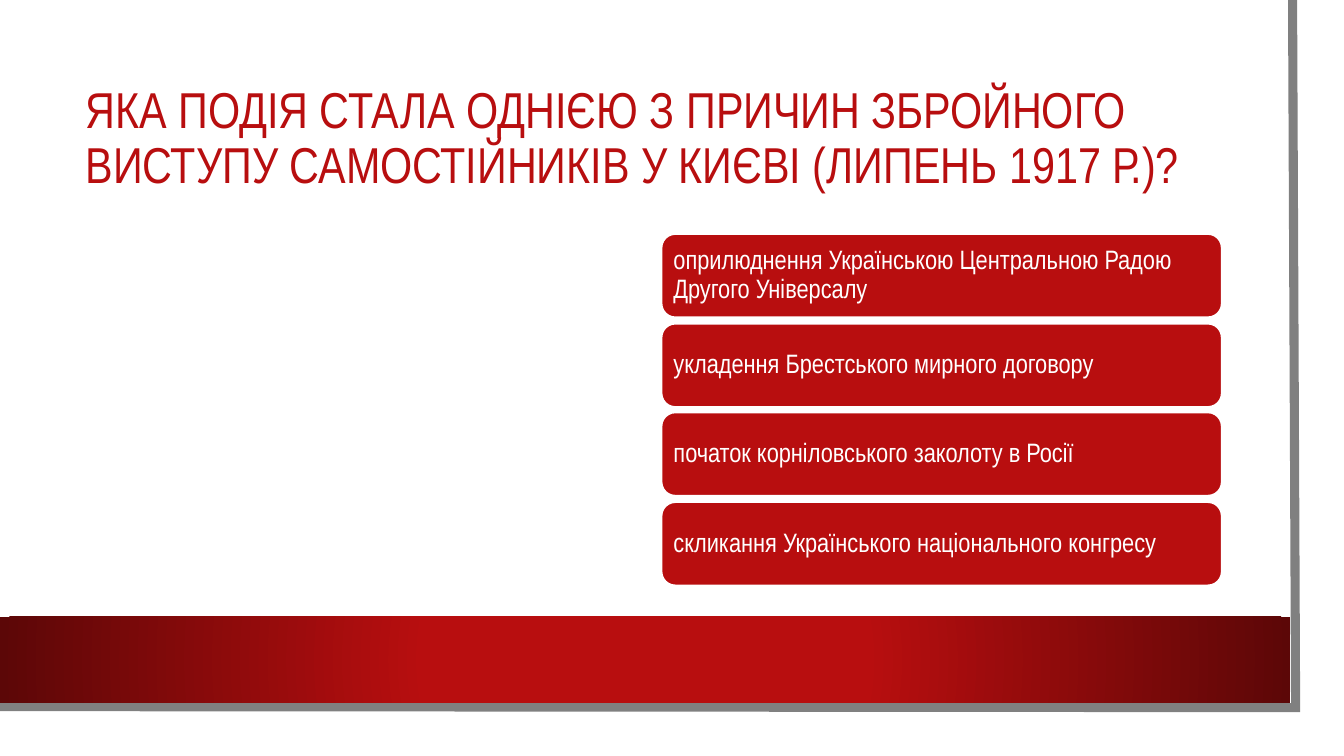
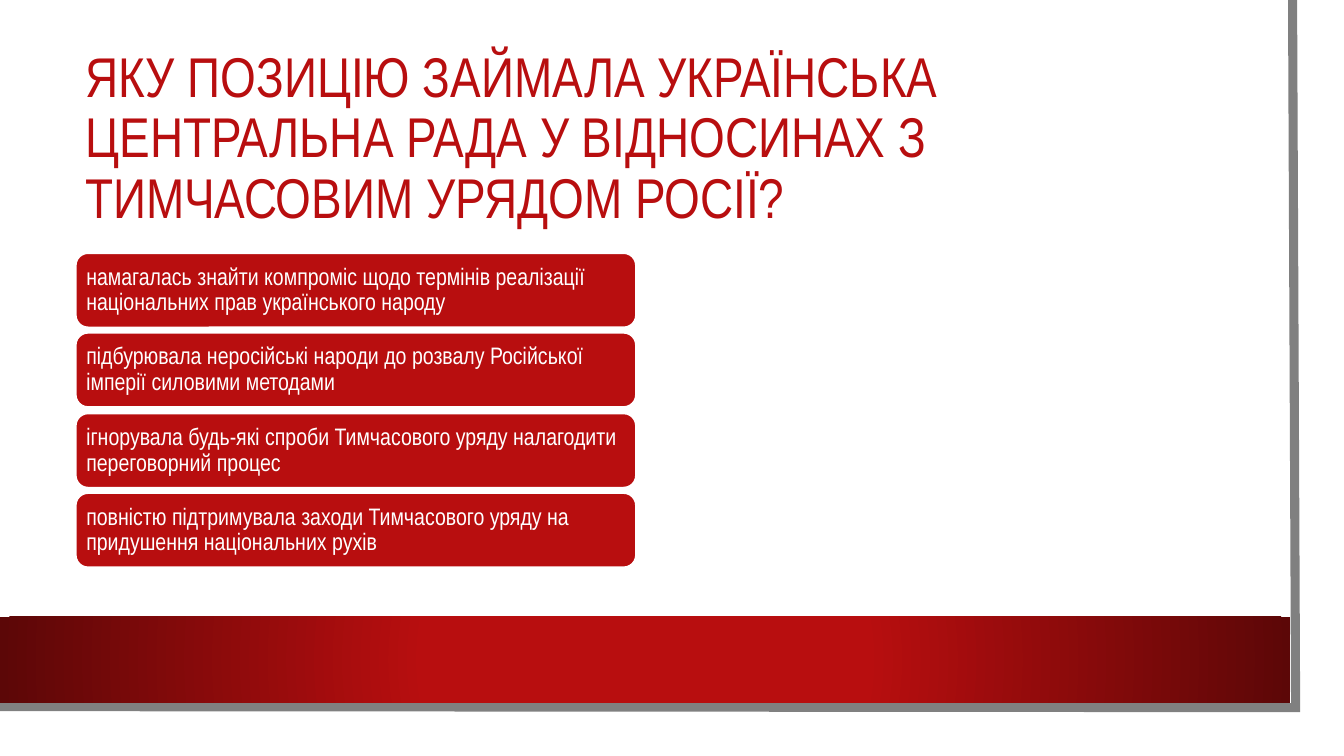
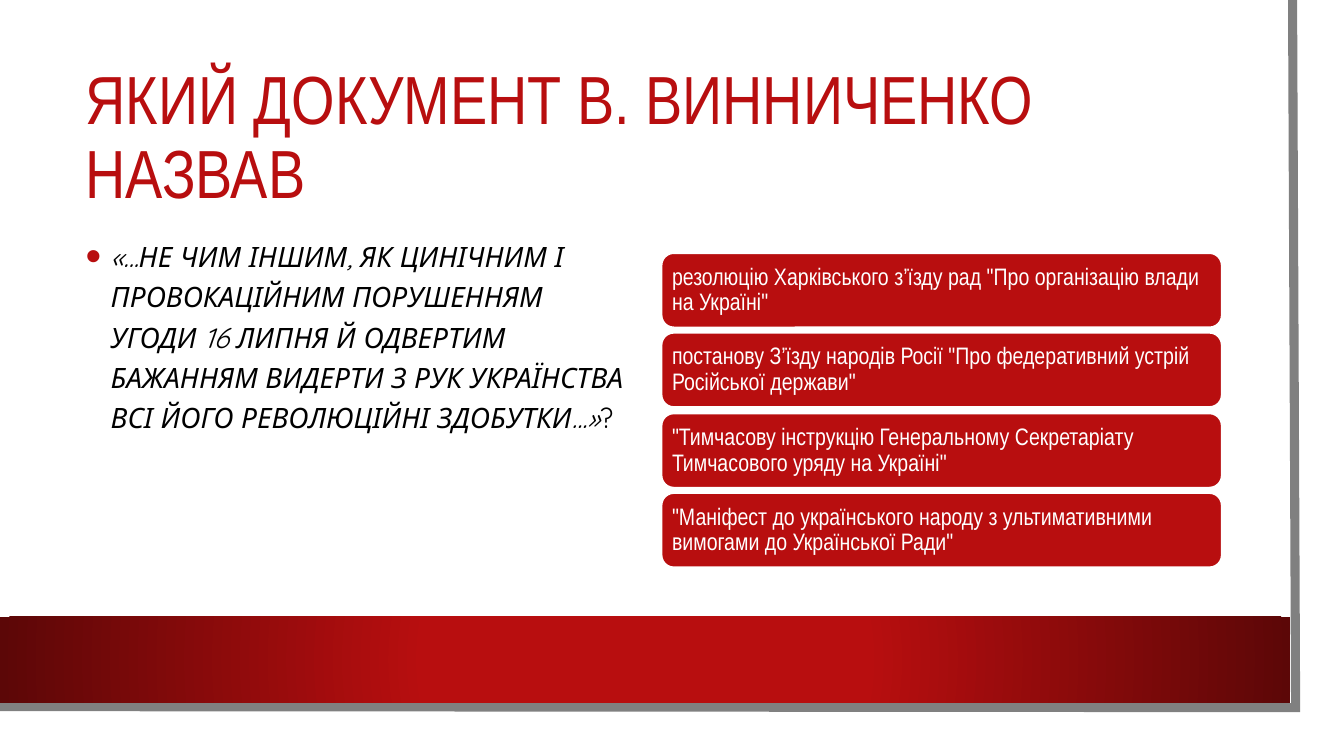
from dataclasses import dataclass

from lxml.etree import SubElement
from pptx import Presentation
from pptx.dml.color import RGBColor
from pptx.enum.shapes import MSO_SHAPE as Preset
from pptx.enum.text import MSO_ANCHOR as Anchor, PP_ALIGN as Align
from pptx.oxml import parse_xml
from pptx.oxml.ns import nsdecls, qn
from pptx.shapes.base import BaseShape
from pptx.slide import Slide
from pptx.util import Emu, Pt

PX = 9144  # one px is a hundredth of an inch
COLORS = {
    "paper": "FFFFFF",
    "red": "B80E0F",
    "dark red": "5C0707",
    "edge": "808080",
    "ink": "000000",
}
HEAD_FONT = "Arial Narrow"
QUOTE_FONT = "Quicksand"


@dataclass(frozen=True)
class Box:
    left: int
    top: int
    width: int
    height: int

    def emu(self) -> list[Emu]:
        return [Emu(v * PX) for v in (self.left, self.top, self.width, self.height)]


@dataclass(frozen=True)
class AnswerStack:
    left: int
    top: int
    bottom: int
    card_height: int
    inset: int
    size: int
    width: int = 556

    def card(self, index: int, count: int) -> Box:
        step = (self.bottom - self.top - self.card_height) / (count - 1)
        return Box(self.left, round(self.top + index * step), self.width, self.card_height)


@dataclass(frozen=True)
class Question:
    title: str
    title_size: float
    stack: AnswerStack
    answers: tuple[str, ...]
    quote: str = ""


PAGE = Box(0, 0, 1333, 750)
SHEET = Box(0, 0, 1310, 727)
BAND = Box(0, 612, 1280, 85)
EDGE = ((1282, 0), (1285, 702), (-3, 701))
TITLE = Box(75, 75, 1137, 127)
QUOTE = Box(75, 226, 557, 362)

QUESTIONS = (
    Question(
        "ЯКА ПОДІЯ СТАЛА ОДНІЄЮ З ПРИЧИН ЗБРОЙНОГО ВИСТУПУ САМОСТІЙНИКІВ У КИЄВІ (ЛИПЕНЬ 1917 Р.)?",
        36,
        AnswerStack(left=656, top=232, bottom=581, card_height=83, inset=8, size=19),
        (
            "оприлюднення Українською Центральною Радою Другого Універсалу",
            "укладення Брестського мирного договору",
            "початок корніловського заколоту в Росії",
            "скликання Українського національного конгресу",
        ),
    ),
    Question(
        "ЯКУ ПОЗИЦІЮ ЗАЙМАЛА УКРАЇНСЬКА ЦЕНТРАЛЬНА РАДА У ВІДНОСИНАХ З ТИМЧАСОВИМ УРЯДОМ РОСІЇ?",
        40,
        AnswerStack(left=75, top=251, bottom=563, card_height=74, inset=7, size=17),
        (
            "намагалась знайти компроміс щодо термінів реалізації національних прав українського народу",
            "підбурювала неросійські народи до розвалу Російської імперії силовими методами",
            "ігнорувала будь-які спроби Тимчасового уряду налагодити переговорний процес",
            "повністю підтримувала заходи Тимчасового уряду на придушення національних рухів",
        ),
    ),
    Question(
        "ЯКИЙ ДОКУМЕНТ В. ВИННИЧЕНКО НАЗВАВ",
        48.6,
        AnswerStack(left=656, top=251, bottom=563, card_height=74, inset=7, size=17),
        (
            "резолюцію Харківського з’їзду рад \"Про організацію влади на Україні\"",
            "постанову З’їзду народів Росії \"Про федеративний устрій Російської держави\"",
            "\"Тимчасову інструкцію Генеральному Секретаріату Тимчасового уряду на Україні\"",
            "\"Маніфест до українського народу з ультимативними вимогами до Української Ради\"",
        ),
        "«...НЕ ЧИМ ІНШИМ, ЯК ЦИНІЧНИМ І ПРОВОКАЦІЙНИМ ПОРУШЕННЯМ УГОДИ 16 ЛИПНЯ "
        "Й ОДВЕРТИМ БАЖАННЯМ ВИДЕРТИ З РУК УКРАЇНСТВА ВСІ ЙОГО РЕВОЛЮЦІЙНІ ЗДОБУТКИ...»",
    ),
)


def rgb(name: str) -> RGBColor:
    return RGBColor.from_string(COLORS[name])


def add_bullet(paragraph, indent: int) -> None:
    props = paragraph._p.get_or_add_pPr()
    props.set("marL", str(indent * PX))
    props.set("indent", str(-indent * PX))
    color = SubElement(props, qn("a:buClr"))
    SubElement(color, qn("a:srgbClr"), val=COLORS["red"])
    SubElement(props, qn("a:buSzPct"), val="160000")
    SubElement(props, qn("a:buFont"), typeface="Arial")
    SubElement(props, qn("a:buChar"), char="•")


def write(shape: BaseShape, text: str, *, size: float, color: str, font: str = HEAD_FONT,
          spacing: float = 0.9, anchor: Anchor = Anchor.MIDDLE, insets: tuple[int, int] = (10, 5),
          italic: bool = False, bullet: bool = False, upright_tail: str = "") -> None:
    frame = shape.text_frame
    frame.word_wrap = True
    frame.vertical_anchor = anchor
    frame.margin_left = frame.margin_right = Emu(insets[0] * PX)
    frame.margin_top = frame.margin_bottom = Emu(insets[1] * PX)
    paragraph = frame.paragraphs[0]
    paragraph.alignment = Align.LEFT
    paragraph.line_spacing = spacing
    if bullet:
        add_bullet(paragraph, 25)
    for words, slanted in ((text, italic), (upright_tail, False)):
        if words:
            run = paragraph.add_run()
            run.text = words
            run.font.size = Pt(size)
            run.font.name = font
            run.font.italic = slanted
            run.font.color.rgb = rgb(color)


def add_panel(slide: Slide, box: Box, fill: str = "", preset: Preset = Preset.RECTANGLE) -> BaseShape:
    panel = slide.shapes.add_shape(preset, *box.emu())
    panel.shadow.inherit = False
    panel.line.fill.background()
    if fill:
        panel.fill.solid()
        panel.fill.fore_color.rgb = rgb(fill)
    return panel


def add_frame(slide: Slide) -> None:
    add_panel(slide, SHEET, "paper")

    # Grey edge on the right and at the bottom
    builder = slide.shapes.build_freeform(*EDGE[0], scale=PX)
    builder.add_line_segments(EDGE[1:], close=False)
    edge = builder.convert_to_shape()
    edge.shadow.inherit = False
    edge.fill.background()
    edge.line.color.rgb = rgb("edge")
    edge.line.width = Pt(6.5)
    SubElement(edge.line._get_or_add_ln(), qn("a:miter"), lim="800000")

    # Red band, darker towards both ends
    band = add_panel(slide, BAND)
    band._element.spPr.find(qn("a:prstGeom")).addnext(parse_xml(
        f'<a:gradFill {nsdecls("a")} rotWithShape="1"><a:gsLst>'
        f'<a:gs pos="34000"><a:srgbClr val="{COLORS["red"]}"/></a:gs>'
        f'<a:gs pos="100000"><a:srgbClr val="{COLORS["dark red"]}"/></a:gs></a:gsLst>'
        '<a:path path="circle"><a:fillToRect l="50000" t="50000" r="50000" b="50000"/></a:path>'
        '</a:gradFill>'))


def add_answers(slide: Slide, stack: AnswerStack, answers: tuple[str, ...]) -> None:
    for index, answer in enumerate(answers):
        card = add_panel(slide, stack.card(index, len(answers)), "red", Preset.ROUNDED_RECTANGLE)
        card.line.color.rgb = rgb("paper")
        card.line.width = Pt(1.5)
        write(card, answer, size=stack.size, color="paper", insets=(stack.inset, stack.inset))


def add_question(slide: Slide, question: Question) -> None:
    add_frame(slide)
    title = slide.shapes.add_textbox(*TITLE.emu())
    write(title, question.title, size=question.title_size, color="red")
    if question.quote:
        quote = slide.shapes.add_textbox(*QUOTE.emu())
        write(quote, question.quote, size=20, color="ink", font=QUOTE_FONT, spacing=1.2,
              anchor=Anchor.TOP, italic=True, bullet=True, upright_tail="?")
    add_answers(slide, question.stack, question.answers)


def main() -> None:
    deck = Presentation()
    deck.slide_width, deck.slide_height = PAGE.emu()[2:]
    blank = deck.slide_layouts[6]
    for question in QUESTIONS:
        add_question(deck.slides.add_slide(blank), question)
    deck.save("out.pptx")


if __name__ == "__main__":
    main()
